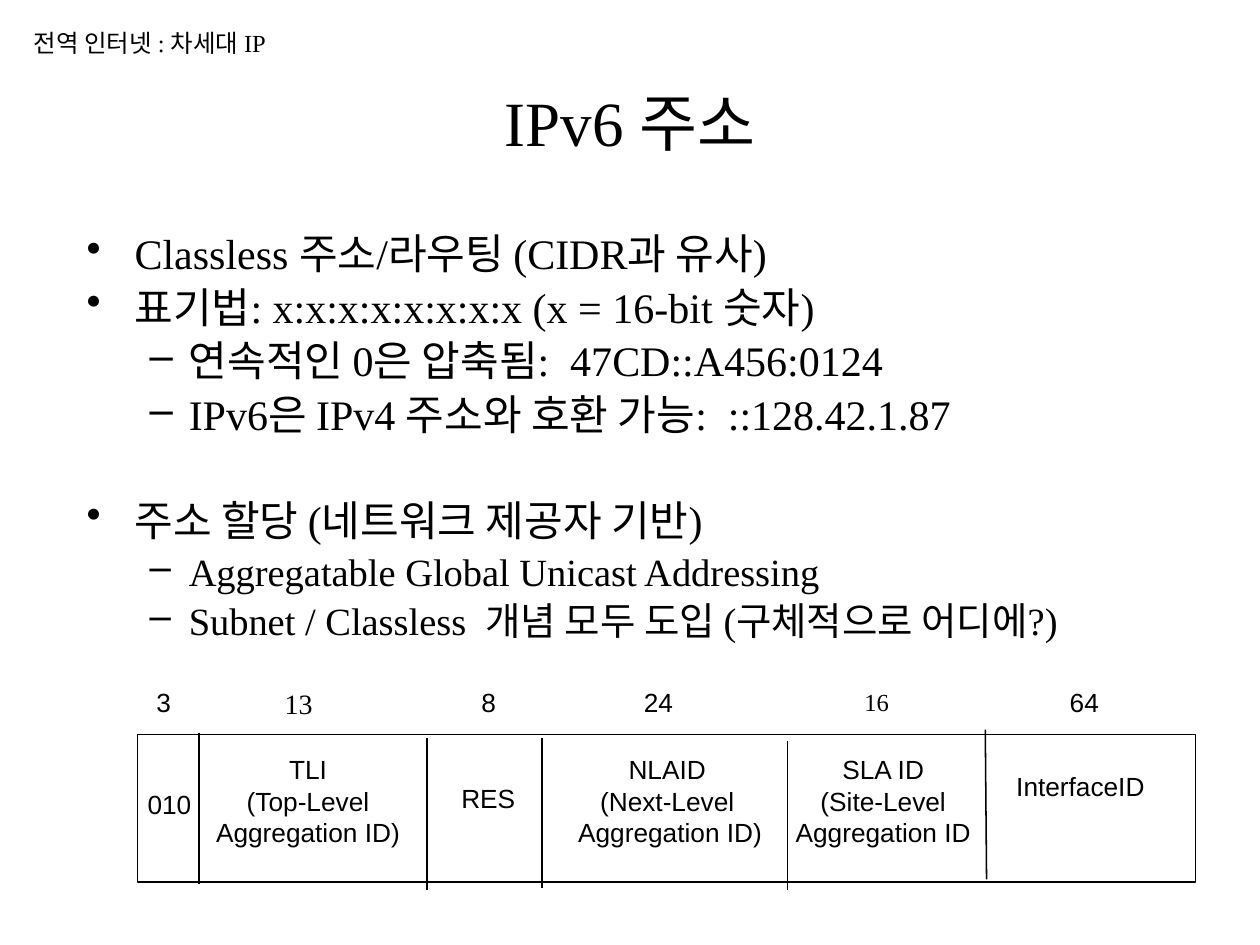
from dataclasses import dataclass
from lxml.etree import SubElement
from pptx import Presentation
from pptx.dml.color import RGBColor
from pptx.enum.shapes import MSO_CONNECTOR
from pptx.enum.text import MSO_ANCHOR, MSO_AUTO_SIZE, PP_ALIGN
from pptx.oxml.ns import qn
from pptx.util import Inches, Pt


@dataclass
class Theme:
    ink = RGBColor(0, 0, 0)
    serif = "Times New Roman"
    sans = "Arial"
    title = 36
    body = 24
    sub = 22
    head = 14
    cell = 15
    rule = 0.88


HEAD = "전역 인터넷 : 차세대 IP"
TITLE = "IPv6 주소"
POINTS = [
    (0, Theme.body, 4.8, "Classless 주소/라우팅 (CIDR과 유사)"),
    (0, Theme.body, 4.8, "표기법: x:x:x:x:x:x:x:x (x = 16-bit 숫자)"),
    (1, Theme.body, 4.8, "연속적인 0은 압축됨:  47CD::A456:0124"),
    (1, Theme.body, 4.8, "IPv6은 IPv4 주소와 호환 가능:  ::128.42.1.87"),
    (0, Theme.body, 34.5, "주소 할당 (네트워크 제공자 기반) "),
    (1, Theme.sub, 4.4, "Aggregatable Global Unicast Addressing"),
    (1, Theme.sub, 4.4, "Subnet / Classless  개념 모두 도입 (구체적으로 어디에?)"),
]
LEVELS = [("•", 0.38, -0.38), ("–", 0.81, -0.31)]
BITS = [
    ("3", 1.24, 0.12, Theme.sans, 15),
    ("13", 2.26, 0.23, Theme.serif, 16),
    ("8", 3.82, 0.12, Theme.sans, 15),
    ("24", 5.11, 0.24, Theme.sans, 15),
    ("16", 6.86, 0.2, Theme.serif, 14),
    ("64", 8.49, 0.24, Theme.sans, 15),
]
FIELDS = [
    (["010"], 1.16, 6.26, 0.37),
    (["TLI", "(Top-Level", "Aggregation ID)"], 1.68, 5.98, 1.53),
    (["RES"], 3.65, 6.21, 0.45),
    (["NLAID", "(Next-Level", " Aggregation ID)"], 4.5, 5.98, 1.59),
    (["SLA ID", "(Site-Level", "Aggregation ID"], 6.28, 5.98, 1.46),
    (["InterfaceID"], 8.04, 6.11, 1.07),
]
FRAME = (1.09, 5.83, 9.49, 7)
SPLITS = [
    (1.58, 5.82, 1.58, 7.02),
    (3.39, 5.86, 3.39, 7.06),
    (4.3, 5.86, 4.3, 7.05),
    (6.25, 5.88, 6.25, 7.06),
    (7.82, 5.79, 7.83, 6.98),
]

deck = Presentation()
deck.slide_width, deck.slide_height = Inches(10), Inches(7.5)
slide = deck.slides.add_slide(deck.slide_layouts[6])
shapes = slide.shapes


def write(lines, at, size, font=Theme.serif, align=PP_ALIGN.LEFT,
          anchor=MSO_ANCHOR.TOP, tight=False, before=0):
    box = shapes.add_textbox(*map(Inches, at))
    frame = box.text_frame
    frame.word_wrap = not tight
    frame.vertical_anchor = anchor
    if tight:
        frame.auto_size = MSO_AUTO_SIZE.SHAPE_TO_FIT_TEXT
        frame.margin_left = frame.margin_right = 0
        frame.margin_top = frame.margin_bottom = 0
    for i, text in enumerate(lines):
        para = frame.paragraphs[0] if i == 0 else frame.add_paragraph()
        para.alignment = align
        para.space_before = Pt(before)
        run = para.add_run()
        run.text = text
        run.font.size = Pt(size)
        run.font.name = font
        run.font.color.rgb = Theme.ink
    return frame


def bullet(para, level, size, before):
    mark, left, hang = LEVELS[level]
    para.level = level
    para.line_spacing = 0.9
    para.space_before = Pt(before)
    para.runs[0].font.size = Pt(size)
    props = para._p.get_or_add_pPr()
    props.set("marL", str(Inches(left)))
    props.set("indent", str(Inches(hang)))
    SubElement(props, qn("a:buChar")).set("char", mark)


def stroke(shape):
    shape.line.color.rgb = Theme.ink
    shape.line.width = Pt(Theme.rule)


write([TITLE], (0.75, 0.5, 8.5, 0.92), Theme.title,
      align=PP_ALIGN.CENTER, anchor=MSO_ANCHOR.MIDDLE)

body = write([text for *_, text in POINTS], (0.59, 1.8, 8.77, 5.49), Theme.body)
for para, (level, size, before, _) in zip(body.paragraphs, POINTS):
    bullet(para, level, size, before)

for text, left, width, font, size in BITS:
    write([text], (left, 5.45, width, 0.32), size, font=font, tight=True)

for lines, left, top, width in FIELDS:
    write(lines, (left, top, width, 0.32 * len(lines)), Theme.cell,
          font=Theme.sans, align=PP_ALIGN.CENTER, tight=True)

x1, y1, x2, y2 = map(Inches, FRAME)
path = shapes.build_freeform(x2, y2)
path.add_line_segments([(x2, y1), (x1, y1), (x1, y2)], close=True)
frame = path.convert_to_shape()
frame.shadow.inherit = False
frame.fill.background()
stroke(frame)

for ends in SPLITS:
    line = shapes.add_connector(MSO_CONNECTOR.STRAIGHT, *map(Inches, ends))
    stroke(line)
    SubElement(line._element.spPr, qn("a:effectLst"))

write([HEAD], (0.17, 0.17, 2.5, 0.33), Theme.head, before=7)

deck.save("out.pptx")
